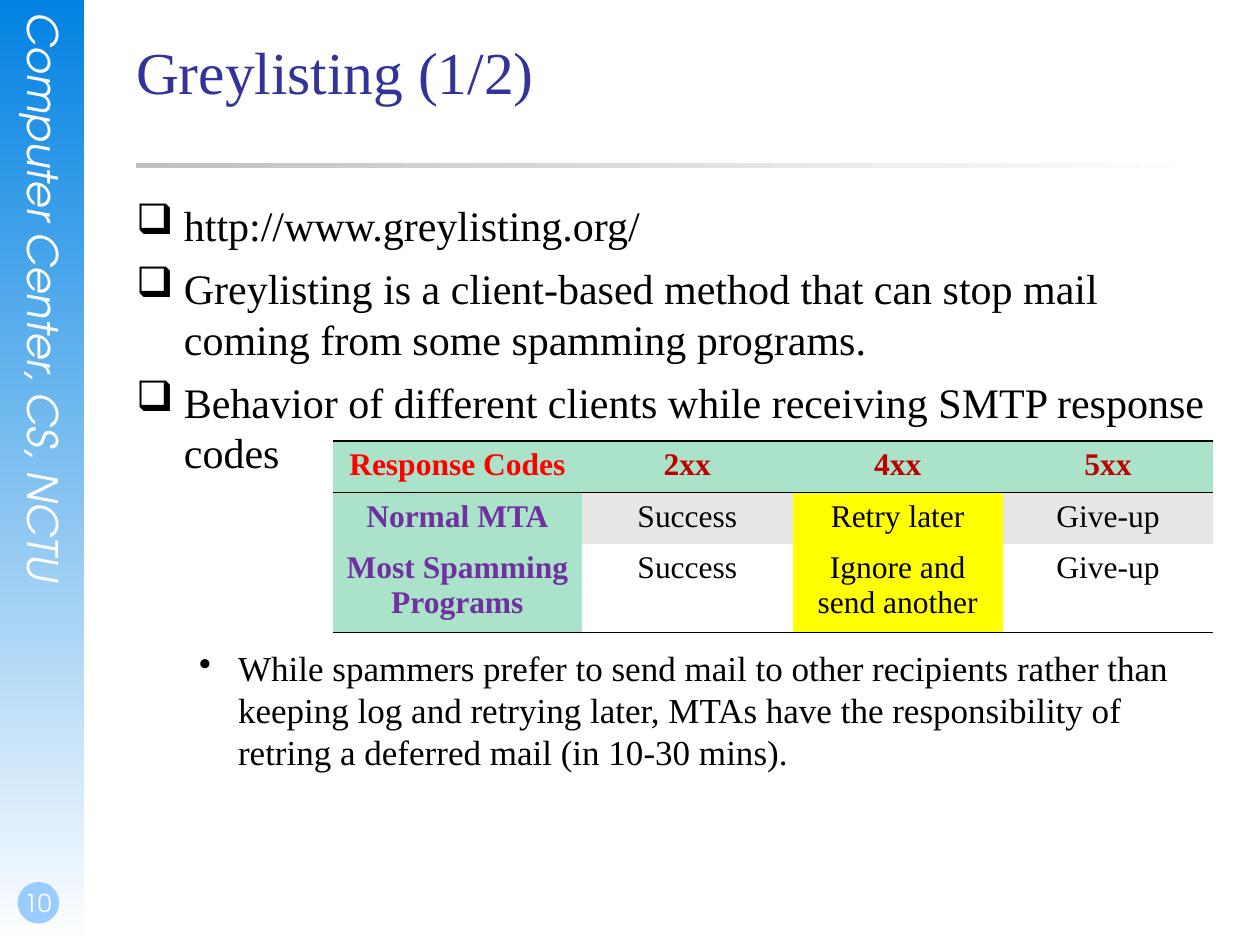
"""Build the greylisting overview slide."""
from dataclasses import dataclass

from lxml import etree
from pptx import Presentation
from pptx import util as u
from pptx.dml.color import RGBColor
from pptx.enum import shapes, text
from pptx.oxml.ns import qn


@dataclass(frozen=True)
class Theme:
    """Colours, fonts and type sizes of the slide."""

    serif: str = "Times New Roman"
    sans: str = "TeX Gyre Adventor"
    title: str = "333399"
    black: str = "000000"
    white: str = "FFFFFF"
    blue: str = "0282E2"
    badge: str = "99CCFF"
    rule: str = "C0C0C0"
    mint: str = "AAE2CA"
    gray: str = "E7E7E7"
    yellow: str = "FFFF00"
    red: str = "FF0000"
    dark_red: str = "C00000"
    purple: str = "7030A0"
    title_size: float = 34
    body_size: float = 24
    detail_size: float = 20
    table_size: float = 18
    number_size: float = 14


THEME = Theme()
NO_STYLE_NO_GRID = "{2D5ABB26-0587-4C30-8999-92F81FD0307C}"
BULLETS = [
    "http://www.greylisting.org/",
    "Greylisting is a client-based method that can stop mail coming from some spamming programs.",
    "Behavior of different clients while receiving SMTP response codes",
]
DETAIL = (
    "While spammers prefer to send mail to other recipients rather than keeping log and "
    "retrying later, MTAs have the responsibility of retring a deferred mail (in 10-30 mins)."
)
RESPONSES = [
    ["Response Codes", "2xx", "4xx", "5xx"],
    ["Normal MTA", "Success", "Retry later", "Give-up"],
    ["Most Spamming Programs", "Success", "Ignore and send another", "Give-up"],
]


def inches(*lengths):
    """Convert several lengths to inches."""
    return [u.Inches(length) for length in lengths]


def style(paragraph, size, color, name=THEME.serif, bold=False, italic=False):
    """Set the font of a paragraph."""
    font = paragraph.font
    font.name, font.size, font.bold, font.italic = name, u.Pt(size), bold, italic
    font.color.rgb = RGBColor.from_string(color)


def set_frame(frame, margins=(0, 0, 0, 0), anchor=text.MSO_ANCHOR.TOP):
    """Set the wrapping, insets and anchor of a text frame."""
    frame.word_wrap = True
    frame.auto_size = text.MSO_AUTO_SIZE.NONE
    frame.vertical_anchor = anchor
    (frame.margin_left, frame.margin_top,
     frame.margin_right, frame.margin_bottom) = inches(*margins)


def add_block(slide, kind, box, colors, angle=0):
    """Add an outline-free shape with a solid or gradient fill."""
    shape = slide.shapes.add_shape(kind, *inches(*box))
    shape.shadow.inherit = False
    shape.line.fill.background()
    if len(colors) == 1:
        shape.fill.solid()
        shape.fill.fore_color.rgb = RGBColor.from_string(colors[0])
        return
    shape.fill.gradient()
    shape.fill.gradient_angle = angle
    for stop, color in zip(shape.fill.gradient_stops, colors):
        stop.color.rgb = RGBColor.from_string(color)


def add_sidebar(slide):
    """Add the gradient band, its vertical label and the page number."""
    rectangle = shapes.MSO_SHAPE.RECTANGLE
    add_block(slide, rectangle, (0, 0, 0.67, 7.5), [THEME.blue, THEME.white], 270)
    label = slide.shapes.add_textbox(*inches(0.15, 0.1, 0.4, 5.11)).text_frame
    set_frame(label)
    label._txBody.bodyPr.set("vert", "eaVert")
    label.text = "Computer Center, CS, NCTU"
    label.paragraphs[0].alignment = text.PP_ALIGN.CENTER
    style(label.paragraphs[0], THEME.body_size, THEME.white, THEME.sans, italic=True)

    add_block(slide, shapes.MSO_SHAPE.OVAL, (0.14, 7, 0.33, 0.33), [THEME.badge])
    number = slide.shapes.add_textbox(*inches(0, 6.83, 0.58, 0.5)).text_frame
    set_frame(number, (0.02, 0, 0, 0.05), text.MSO_ANCHOR.BOTTOM)
    number.text = "10"
    number.paragraphs[0].alignment = text.PP_ALIGN.CENTER
    style(number.paragraphs[0], THEME.number_size, THEME.white, THEME.sans)


def add_title(slide):
    """Fill the title placeholder and add the rule under it."""
    add_block(slide, shapes.MSO_SHAPE.RECTANGLE, (1.08, 1.29, 8.5, 0.04),
              [THEME.rule, THEME.white])
    title = slide.shapes.title
    title.left, title.top, title.width, title.height = inches(1.08, 0.28, 8.5, 1.25)
    set_frame(title.text_frame)
    title.text_frame.text = "Greylisting (1/2)"
    paragraph = title.text_frame.paragraphs[0]
    paragraph.alignment = text.PP_ALIGN.LEFT
    style(paragraph, THEME.title_size, THEME.title)


def format_bullet(paragraph, mark, margin, hanging, size, before):
    """Give a paragraph a hanging bullet and its spacing."""
    properties = paragraph._p.get_or_add_pPr()
    properties.set("marL", str(u.Inches(margin)))
    properties.set("indent", str(-u.Inches(hanging)))
    etree.SubElement(properties, qn("a:buChar")).set("char", mark)
    paragraph.space_before = u.Pt(before)
    style(paragraph, size, THEME.black)


def add_body(slide):
    """Add the main bullets and the detail that follows the table."""
    frame = slide.shapes.add_textbox(*inches(1.08, 1.58, 8.5, 5.08)).text_frame
    set_frame(frame)
    frame.text = "\n".join([*BULLETS, DETAIL])
    *main_points, detail = frame.paragraphs
    for index, paragraph in enumerate(main_points):
        format_bullet(paragraph, "❑", 0.38, 0.38, THEME.body_size, 7.5 if index else 0)
    detail.level = 1
    format_bullet(detail, "•", 0.81, 0.31, THEME.detail_size, 96.8)


def cell_colors(row, column):
    """Return the fill and text colours for a table position."""
    if row == 0:
        return THEME.mint, THEME.dark_red if column else THEME.red
    if column == 0:
        return THEME.mint, THEME.purple
    if column == 2:
        return THEME.yellow, THEME.black
    return THEME.gray if row == 1 else THEME.white, THEME.black


def set_border(cell, side, visible):
    """Draw or clear a thin black border on one side of a cell."""
    line = etree.SubElement(cell._tc.get_or_add_tcPr(), qn(f"a:{side}"))
    line.set("w", str(u.Pt(0.96) if visible else 0))
    fill = etree.SubElement(line, qn("a:solidFill" if visible else "a:noFill"))
    if visible:
        etree.SubElement(fill, qn("a:srgbClr")).set("val", THEME.black)


def add_table(slide):
    """Add the table of client behaviour by response code."""
    frame = slide.shapes.add_table(len(RESPONSES), len(RESPONSES[0]),
                                   *inches(2.64, 3.5, 6.99, 1.52))
    table = frame.table
    table.first_row = table.horz_banding = False
    table._tbl.tblPr.find(qn("a:tableStyleId")).text = NO_STYLE_NO_GRID
    for column, width in zip(table.columns, inches(1.98, 1.67, 1.67, 1.67)):
        column.width = width
    for row, height in zip(table.rows, inches(0.41, 0.41, 0.7)):
        row.height = height
    for row, values in enumerate(RESPONSES):
        for column, value in enumerate(values):
            cell = table.cell(row, column)
            fill, color = cell_colors(row, column)
            cell.text = value
            paragraph = cell.text_frame.paragraphs[0]
            paragraph.alignment = text.PP_ALIGN.CENTER
            style(paragraph, THEME.table_size, color, bold=row == 0 or column == 0)
            set_border(cell, "lnT", row < 2)
            set_border(cell, "lnB", row != 1)
            cell.fill.solid()
            cell.fill.fore_color.rgb = RGBColor.from_string(fill)


def main():
    """Build and save the presentation."""
    presentation = Presentation()
    presentation.slide_width, presentation.slide_height = inches(10, 7.5)
    slide = presentation.slides.add_slide(presentation.slide_layouts[5])
    add_sidebar(slide)
    add_title(slide)
    add_body(slide)
    add_table(slide)
    presentation.save("out.pptx")


if __name__ == "__main__":
    main()
